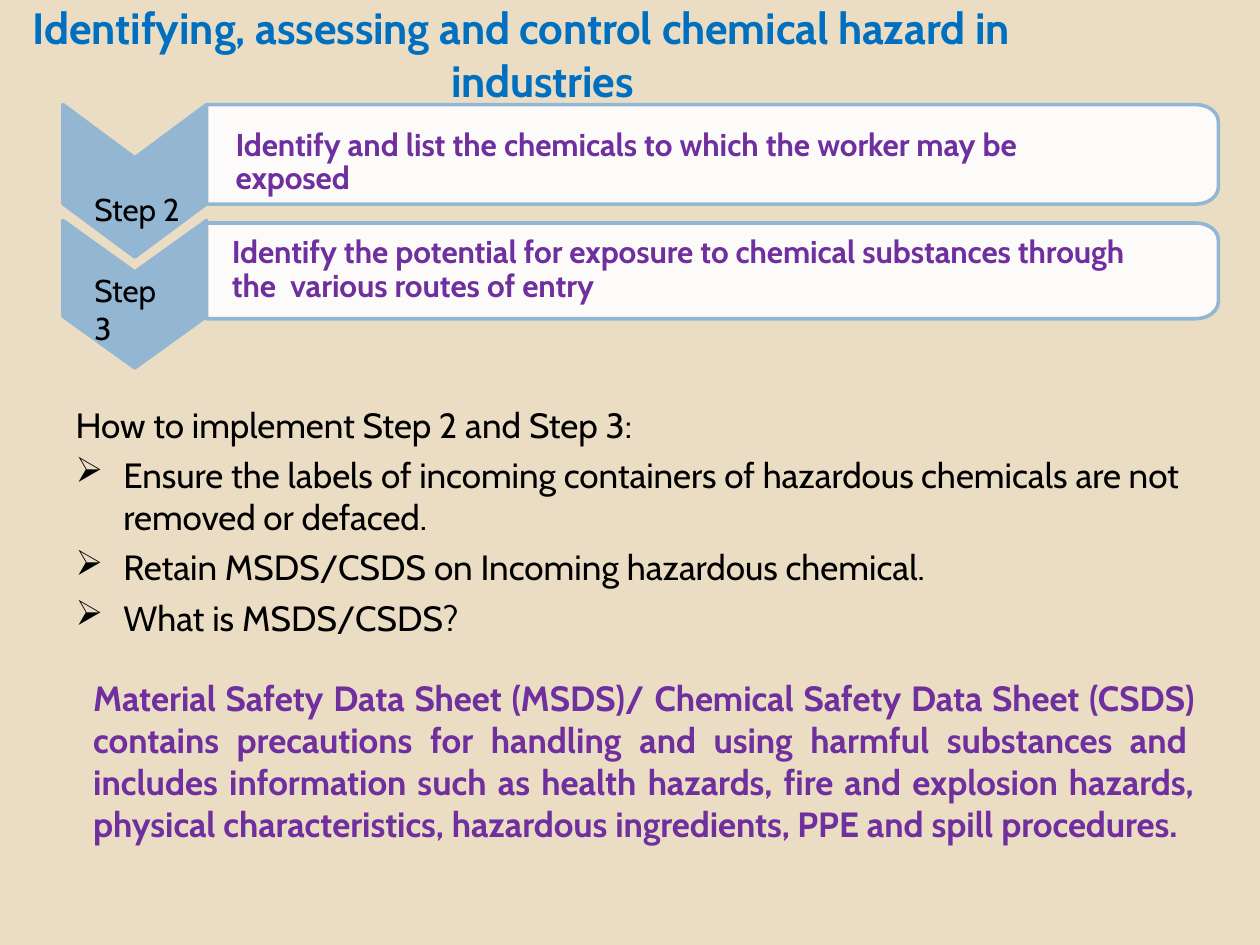
from dataclasses import dataclass
from math import cos, pi, sin

from lxml.etree import SubElement
from pptx import Presentation
from pptx.dml.color import RGBColor as Rgb
from pptx.enum.text import PP_ALIGN as Align
from pptx.oxml.ns import qn
from pptx.util import Inches, Pt


@dataclass(frozen=True)
class Theme:
    """Colours, font and type sizes of the deck."""
    sand: Rgb = Rgb(0xEB, 0xDD, 0xC3)
    steel: Rgb = Rgb(0x93, 0xB6, 0xD2)
    white: Rgb = Rgb(0xFF, 0xFF, 0xFF)
    blue: Rgb = Rgb(0x00, 0x6F, 0xC0)
    purple: Rgb = Rgb(0x6F, 0x2F, 0x9F)
    black: Rgb = Rgb(0, 0, 0)
    font: str = "Cabin"
    title: float = 25
    step: float = 18
    body: float = 20
    outline: float = 2.04
    tracking: int = -5


class Painter:
    """Draws on one page, on a grid of 100 columns by 75 rows."""

    def __init__(self, deck, theme):
        self.theme = theme
        self.unit = deck.slide_width / 100
        self.page = deck.slides.add_slide(deck.slide_layouts[6])
        background = self.page.background.fill
        background.solid()
        background.fore_color.rgb = theme.sand

    def grid(self, *cells):
        """Turn grid cells into lengths."""
        return [round(cell * self.unit) for cell in cells]

    def outline(self, points, color, opacity=100):
        """Draw a closed outline with a steel line."""
        start, *rest = [tuple(self.grid(*point)) for point in points]
        builder = self.page.shapes.build_freeform(*start)
        builder.add_line_segments(rest, close=True)
        shape = builder.convert_to_shape()
        shape.shadow.inherit = False
        shape.fill.solid()
        shape.fill.fore_color.rgb = color
        if opacity < 100:
            tint = shape.fill._xPr.find(qn("a:solidFill"))[0]
            SubElement(tint, qn("a:alpha"), val=str(opacity * 1000))
        shape.line.color.rgb = self.theme.steel
        shape.line.width = Pt(self.theme.outline)

    def chevron(self, left, top, width, height):
        """Draw a chevron that points down."""
        middle, right, notch = left + width / 2, left + width, height * 0.35
        shoulder, bottom = top + height - notch, top + height
        self.outline([(left, top), (middle, top + notch), (right, top),
                      (right, shoulder), (middle, bottom), (left, shoulder)],
                     self.theme.steel)

    def panel(self, left, top, width, height, radius=(1.8, 1.35), steps=6):
        """Draw a panel rounded at its right corners."""
        across, down = radius
        center = left + width - across
        turns = [pi / 2 * step / steps for step in range(steps + 1)]
        upper = [(center + across * sin(turn), top + down * (1 - cos(turn)))
                 for turn in turns]
        lower = [(x, 2 * top + height - y) for x, y in reversed(upper)]
        self.outline([(left, top), *upper, *lower, (left, top + height)],
                     self.theme.white, opacity=90)

    def box(self, left, top, width, height, inset=0.1):
        """Add a wrapping text box and return its frame."""
        frame = self.page.shapes.add_textbox(*self.grid(left, top, width, height)).text_frame
        frame.word_wrap = True
        frame.margin_left = frame.margin_right = frame.margin_bottom = 0
        frame.margin_top = self.grid(inset)[0]
        return frame

    def para(self, frame, text, size, color, bold=False, margin=0.1, indent=0,
             bullet=None, before=0, leading=None, align=Align.LEFT):
        """Add a paragraph whose bar-separated runs are tight and normal by turns."""
        fresh = not frame.paragraphs[0].runs
        para = frame.paragraphs[0] if fresh else frame.add_paragraph()
        layout = para._p.get_or_add_pPr()
        for name, cells in (("marL", margin), ("indent", indent)):
            layout.set(name, str(self.grid(cells)[0]))
        if bullet:
            SubElement(layout, qn("a:buChar"), char=bullet)
        para.alignment = align
        para.space_before = Pt(before)
        if leading:
            para.line_spacing = Pt(leading)
        for index, words in enumerate(text.split("|")):
            if words:
                span = para.add_run()
                span.text = words
                span.font.name = self.theme.font
                span.font.size = Pt(size)
                span.font.bold = bold
                span.font.color.rgb = color
                if index % 2 == 0:
                    span._r.get_or_add_rPr().set("spc", str(self.theme.tracking))


def main():
    """Build the hazard steps page."""
    deck = Presentation()
    deck.slide_width, deck.slide_height = Inches(10), Inches(7.5)
    theme = Theme()
    painter = Painter(deck, theme)

    title = painter.box(2.5, 0, 87.9, 8.6)
    painter.para(title, "|Identifying, |assessing and control chemical hazard in  industries",
                 theme.title, theme.blue, bold=True, margin=33.3, indent=-33.2)

    painter.chevron(5, 8.3, 11.4, 12.1)
    painter.panel(16.4, 8.3, 80.3, 7.9)
    listing = painter.box(7.4, 10.3, 81, 5.4)
    painter.para(listing, "Identify |and |list |the |chemicals to |which the |worker may |be |exposed",
                 theme.step, theme.purple, bold=True, margin=11.3, leading=18.4)
    painter.para(listing, "Step |2", theme.step, theme.black, leading=18.4)

    painter.chevron(5, 17.5, 11.4, 11.7)
    label = painter.box(7.4, 21.4, 6.6, 3.3)
    painter.para(label, "Step |3", theme.step, theme.black)
    painter.panel(16.4, 17.7, 80.3, 7.6)
    exposure = painter.box(18.3, 18.2, 73.1, 6, inset=0.5)
    painter.para(exposure, "Identify |the |potential for exposure to chemical substances through "
                 "|the  |various routes |of |entry",
                 theme.step, theme.purple, bold=True, leading=19.4)

    body = painter.box(5.9, 31.2, 89.7, 36, inset=0.8)
    painter.para(body, "How to implement Step |2 and |Step |3:", theme.body, theme.black)
    for text in (
        "Ensure |the labels |of incoming containers of hazardous |chemicals "
        "|are not  removed or defaced.",
        "Retain |MSDS/CSDS |on |Incoming |hazardous |chemical.",
        "What |is MSDS/CSDS?",
    ):
        painter.para(body, text, theme.body, theme.black, margin=3.9, indent=-3.8,
                     bullet="➢", before=4.8)
    painter.para(body, "Material Safety Data Sheet |(MSDS)/ |Chemical Safety Data Sheet |(CSDS)  "
                 "|contains precautions for |handling |and using harmful substances "
                 "|and  includes |information |such |as |health |hazards, fire |and "
                 "|explosion hazards,  physical characteristics, hazardous ingredients, "
                 "|PPE and spill |procedures.",
                 theme.body, theme.purple, bold=True, margin=1.5, before=21.5,
                 align=Align.JUSTIFY)

    deck.save("out.pptx")


if __name__ == "__main__":
    main()
